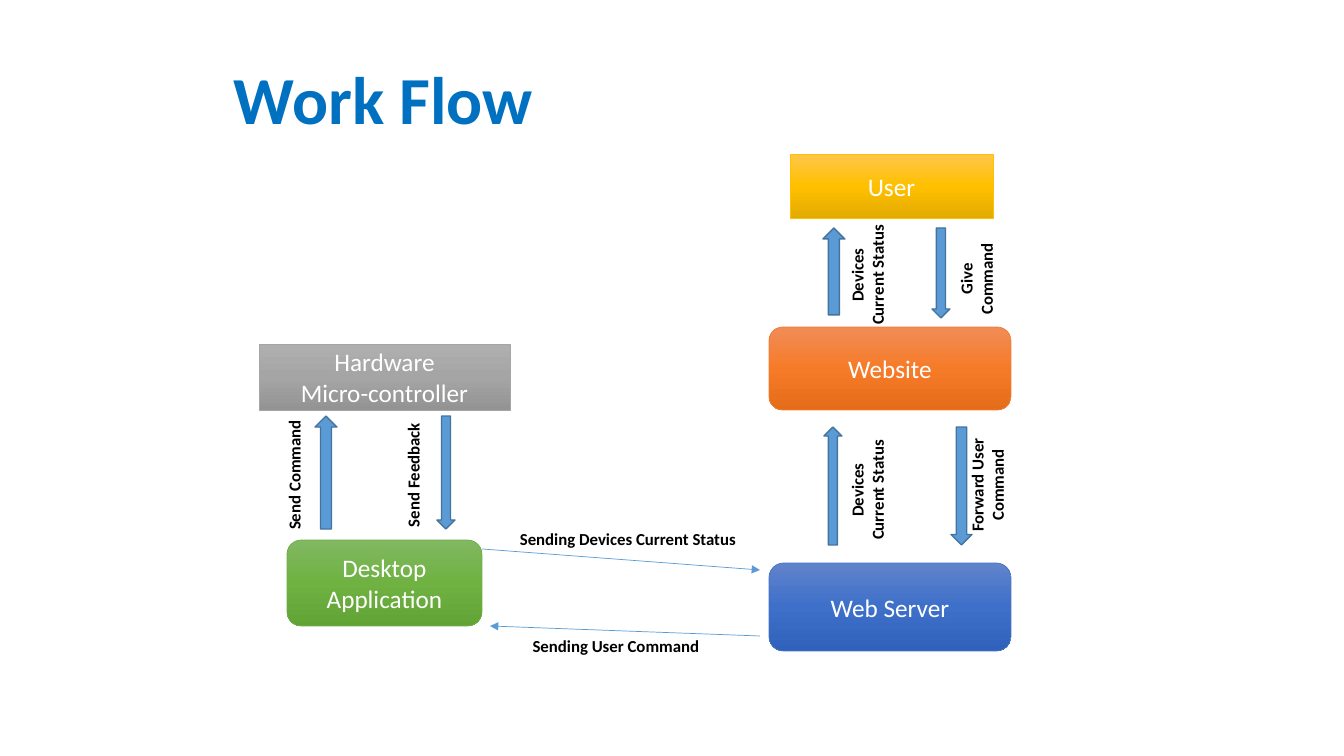
import copy

import pptx
import pptx.dml.color
import pptx.enum.shapes
import pptx.enum.text
import pptx.oxml
import pptx.oxml.ns
import pptx.util

RGB = pptx.dml.color.RGBColor
SHAPE = pptx.enum.shapes.MSO_SHAPE
ALIGN = pptx.enum.text.PP_ALIGN
MIDDLE = pptx.enum.text.MSO_ANCHOR.MIDDLE
Pt = pptx.util.Pt
qn = pptx.oxml.ns.qn

WHITE = RGB(0xFF, 0xFF, 0xFF)
BLACK = RGB(0x00, 0x00, 0x00)
TITLE_BLUE = RGB(0x00, 0x70, 0xC0)
ARROW_FILL = RGB(0x5B, 0x9B, 0xD5)
ARROW_EDGE = RGB(0x43, 0x73, 0x9E)
GREEN = ("81B861", "6FB242", "62A336", "70AD47")
ORANGE = ("F18C57", "F67B28", "E56C19", "ED7D31")
BLUE = ("6183CB", "3E70CA", "3062BB", "4472C4")
GRAY = ("AFAFAF", "A5A5A5", "939393", "A5A5A5")
GOLD = ("FFC64B", "FFC000", "E3AB00", "FFC000")

TITLE = ("Work Flow", (224, 30, 1110, 146))
BOXES = [
    ("Desktop Application", SHAPE.ROUNDED_RECTANGLE, (287, 540, 195, 86), GREEN),
    ("Website", SHAPE.ROUNDED_RECTANGLE, (769, 327, 242, 83), ORANGE),
    ("Web Server", SHAPE.ROUNDED_RECTANGLE, (769, 563, 242, 88), BLUE),
    ("Hardware\vMicro-controller", SHAPE.RECTANGLE, (259, 344, 251, 66), GRAY),
    ("User", SHAPE.RECTANGLE, (790, 154, 203, 64), GOLD),
]
ARROWS = [
    (SHAPE.UP_ARROW, (315, 416, 22, 113)),
    (SHAPE.UP_ARROW, (824, 427, 18, 118)),
    (SHAPE.DOWN_ARROW, (437, 416, 18, 113)),
    (SHAPE.DOWN_ARROW, (951, 427, 21, 118)),
    (SHAPE.UP_ARROW, (823, 228, 22, 87)),
    (SHAPE.DOWN_ARROW, (932, 228, 18, 90)),
]
LINKS = [(482, 549, 760, 570), (760, 636, 490, 626)]
LABELS = [
    ("Send Command", (294, 475), 131, 270),
    ("Send Feedback", (413, 475), 128, 270),
    ("Sending Devices Current Status", (628, 539), 243, 0),
    ("Sending User Command", (616, 646), 195, 0),
    ("Give\nCommand", (976, 279), 93, 270),
    ("Devices\nCurrent Status", (867, 275), 125, 270),
    ("Forward User\nCommand", (987, 485), 132, 270),
    ("Devices\nCurrent Status", (867, 490), 125, 270),
]
LABEL_HEIGHTS = {1: 30, 2: 50}

TITLE_FONT = {"name": "Calibri", "size": Pt(48), "bold": True}
BOX_FONT = {"name": "Calibri", "size": Pt(18), "bold": False}
LABEL_FONT = {"name": "Calibri", "size": Pt(12), "bold": True}


def px(*values):
    return [round(v * 914400 / 100.8) for v in values]


def write(sp, text, font, color, align, wrap=True):
    tf = sp.text_frame
    tf.text = text
    tf.word_wrap = wrap
    for p in tf.paragraphs:
        p.alignment = align
        for r in p.runs:
            for key, value in font.items():
                setattr(r.font, key, value)
            r.font.color.rgb = color
    return tf


def add_shape(kind, place, edge, width):
    sp = slide.shapes.add_shape(kind, *px(*place))
    sp.shadow.inherit = False
    sp.line.color.rgb = edge
    sp.line.width = Pt(width)
    return sp


def shade(sp, colors):
    sp.fill.gradient()
    sp.fill.gradient_angle = 270
    stops = sp._element.spPr.find(qn("a:gradFill")).find(qn("a:gsLst"))
    stops.append(copy.deepcopy(stops[-1]))
    for i, (stop, color) in enumerate(zip(sp.fill.gradient_stops, colors)):
        stop.position = i / 2
        stop.color.rgb = RGB.from_string(color)


prs = pptx.Presentation()
prs.slide_width, prs.slide_height = px(1344, 756)
slide = prs.slides.add_slide(prs.slide_layouts[6])

text, place = TITLE
sp = slide.shapes.add_textbox(*px(*place))
tf = write(sp, text, TITLE_FONT, TITLE_BLUE, ALIGN.LEFT)
tf.vertical_anchor = MIDDLE
tf.paragraphs[0].line_spacing = 0.9

for text, kind, place, (*colors, edge) in BOXES:
    sp = add_shape(kind, place, RGB.from_string(edge), 0.5)
    shade(sp, colors)
    write(sp, text, BOX_FONT, WHITE, ALIGN.CENTER).vertical_anchor = MIDDLE

for kind, place in ARROWS:
    sp = add_shape(kind, place, ARROW_EDGE, 1)
    sp.fill.solid()
    sp.fill.fore_color.rgb = ARROW_FILL

for ends in LINKS:
    sp = slide.shapes.add_connector(pptx.enum.shapes.MSO_CONNECTOR.STRAIGHT, *px(*ends))
    sp.line.color.rgb = ARROW_FILL
    sp.line.width = Pt(0.5)
    head = pptx.oxml.parse_xml(f'<a:tailEnd {pptx.oxml.ns.nsdecls("a")} type="triangle"/>')
    sp.line._get_or_add_ln().append(head)
    sp._element.spPr.append(pptx.oxml.parse_xml(f'<a:effectLst {pptx.oxml.ns.nsdecls("a")}/>'))

for text, (cx, cy), w, angle in LABELS:
    h = LABEL_HEIGHTS[len(text.split("\n"))]
    sp = slide.shapes.add_textbox(*px(cx - w / 2, cy - h / 2, w, h))
    sp.rotation = angle
    write(sp, text, LABEL_FONT, BLACK, ALIGN.CENTER, wrap=False)

prs.save("out.pptx")
